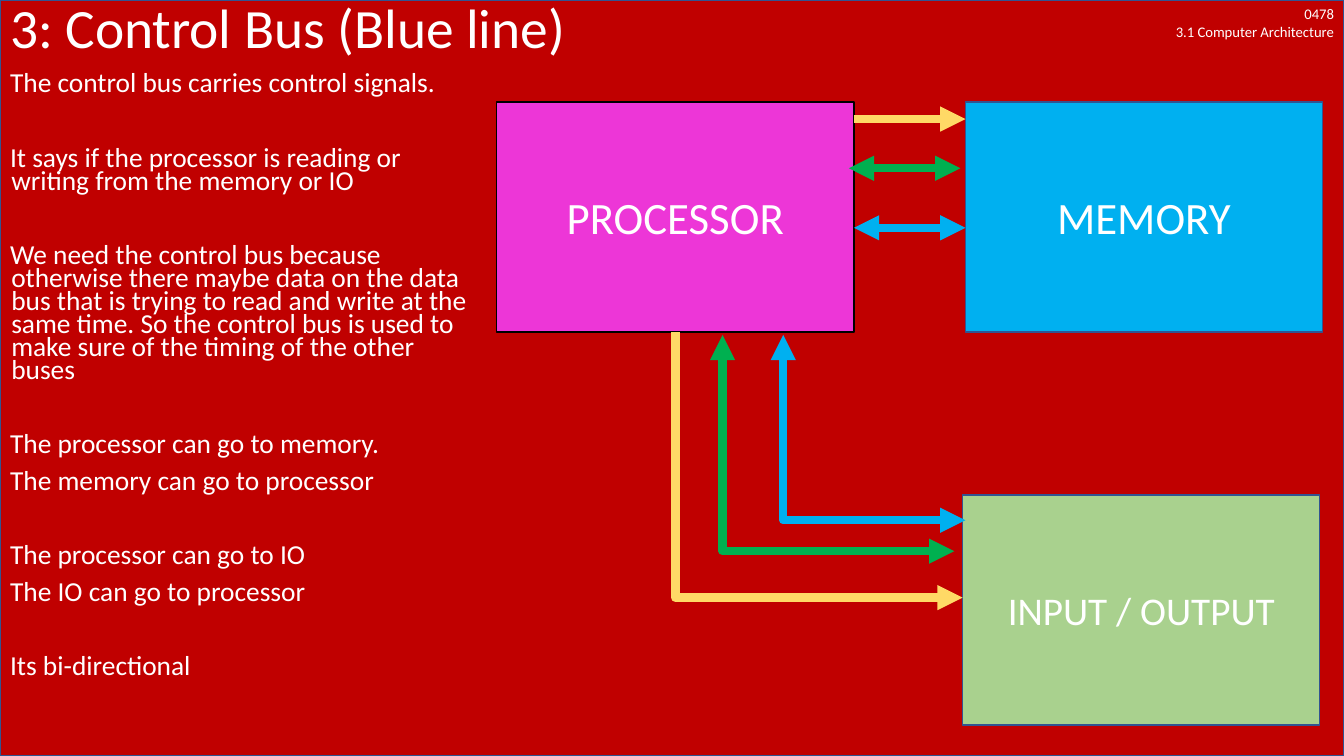
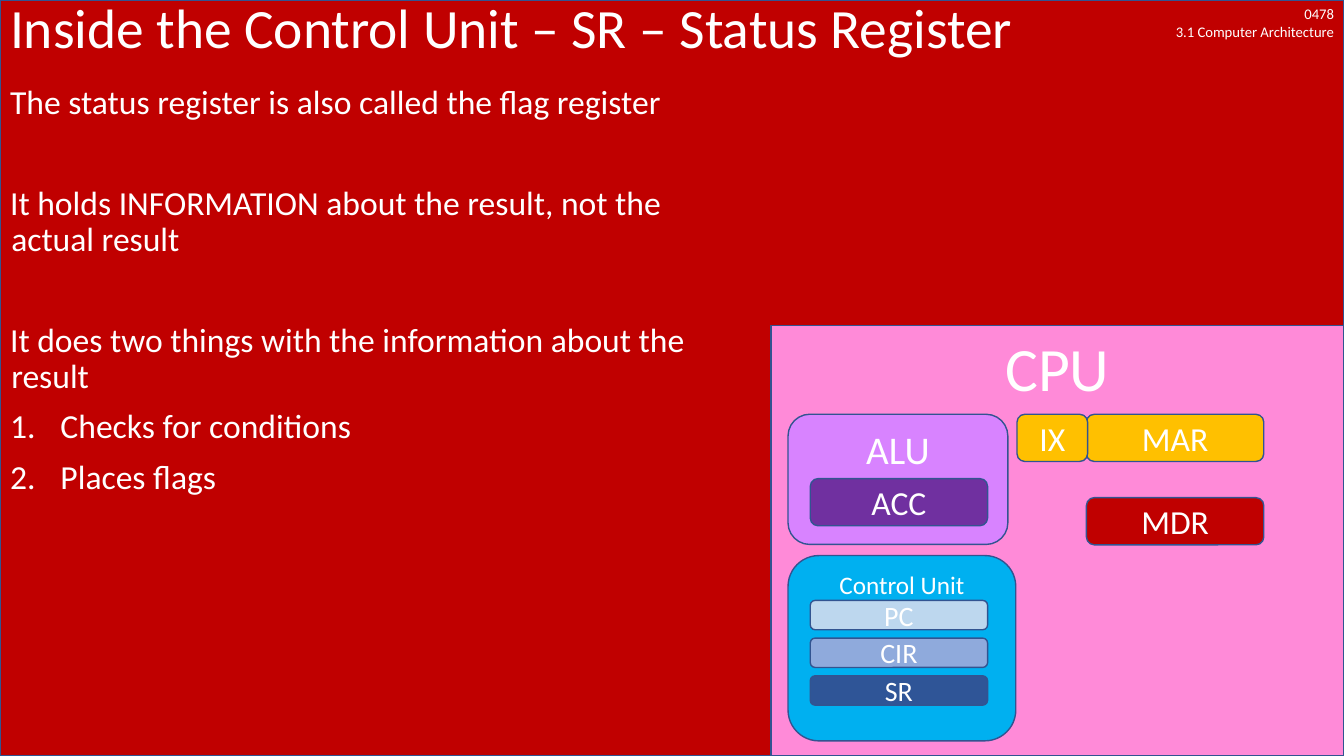
from pptx import Presentation
from pptx.dml.color import RGBColor
from pptx.enum import shapes, text
from pptx.oxml import ns, xmlchemy
from pptx.util import Cm, Pt

FONT = "Calibri"
WHITE = RGBColor(0xFF, 0xFF, 0xFF)
BLACK = RGBColor(0x00, 0x00, 0x00)
RED = RGBColor(0xC0, 0x00, 0x00)
OUTLINE = RGBColor(0x32, 0x54, 0x91)
MAGENTA = RGBColor(0xED, 0x36, 0xD7)
SKY = RGBColor(0x00, 0xB0, 0xF0)
LEAF = RGBColor(0xA9, 0xD1, 0x8E)
SAND = RGBColor(0xFF, 0xD9, 0x66)
GREEN = RGBColor(0x00, 0xB0, 0x50)
PINK = RGBColor(0xFF, 0x8A, 0xD8)
LILAC = RGBColor(0xD8, 0x83, 0xFF)
PURPLE = RGBColor(0x70, 0x30, 0xA0)
AMBER = RGBColor(0xFF, 0xC0, 0x00)
PALE_BLUE = RGBColor(0xBD, 0xD7, 0xEE)
MID_BLUE = RGBColor(0x8F, 0xAA, 0xDC)
DARK_BLUE = RGBColor(0x2F, 0x55, 0x97)

WIDTH, HEIGHT = 33.87, 19.05
RECT = shapes.MSO_SHAPE.RECTANGLE
ROUNDED = shapes.MSO_SHAPE.ROUNDED_RECTANGLE
TOP = text.MSO_ANCHOR.TOP
MIDDLE = text.MSO_ANCHOR.MIDDLE


def place(part, left, top, width, height):
    """Move and size a part, in centimetres."""
    part.left, part.top, part.width, part.height = map(Cm, (left, top, width, height))


def style(paragraph, size, align=text.PP_ALIGN.LEFT):
    """Give a paragraph the shared white type."""
    paragraph.alignment = align
    for run in paragraph.runs:
        run.font.name = FONT
        run.font.size = Pt(size)
        run.font.color.rgb = WHITE


def add_block(slide, box, fill, label="", size=24, kind=ROUNDED, anchor=MIDDLE, outline=OUTLINE):
    """Add a filled, outlined block with a centred label."""
    block = slide.shapes.add_shape(kind, *map(Cm, box))
    block.shadow.inherit = False
    block.fill.solid()
    block.fill.fore_color.rgb = fill
    block.line.color.rgb = outline
    block.line.width = Pt(1)
    block.text_frame.text = label
    block.text_frame.vertical_anchor = anchor
    style(block.text_frame.paragraphs[0], size, text.PP_ALIGN.CENTER)
    return block


def set_layout(slide):
    """Put the red backdrop and the course label on the layout of the slide."""
    backdrop = add_block(slide, (0, 0, WIDTH, HEIGHT), RED, kind=RECT)
    course = slide.shapes.add_textbox(Cm(28.54), Cm(0), Cm(5.33), Cm(1.14))
    course.text_frame.word_wrap = True
    course.text_frame.text = "0478\v3.1 Computer Architecture"
    style(course.text_frame.paragraphs[0], 10.5, text.PP_ALIGN.RIGHT)
    tree = slide.slide_layout.shapes.element
    for order, part in enumerate((backdrop, course)):
        part.element.nvSpPr.cNvPr.set("id", str(100 + order))
        tree.insert(2 + order, part.element)


def add_title(slide, heading):
    """Fill the title placeholder across the top."""
    title = slide.shapes.title
    place(title, 0, 0, WIDTH, 1.52)
    frame = title.text_frame
    frame.text = heading
    frame.auto_size = text.MSO_AUTO_SIZE.NONE
    frame.vertical_anchor = MIDDLE
    frame.margin_top = frame.margin_bottom = 0
    frame.paragraphs[0].line_spacing = 0.9
    style(frame.paragraphs[0], 39.6)


def add_body(slide, box, groups, size, spacing, group_gap, numbered=()):
    """Fill the body placeholder with groups of lines set apart by a gap."""
    body = slide.placeholders[1]
    place(body, *box)
    frame = body.text_frame
    lines = [(line, i == 0) for group in groups for i, line in enumerate(group)]
    frame.text = "\n".join(line for line, _ in lines)
    frame.auto_size = text.MSO_AUTO_SIZE.NONE
    frame.vertical_anchor = TOP
    for i, (paragraph, (line, opens)) in enumerate(zip(frame.paragraphs, lines)):
        paragraph.line_spacing = spacing
        paragraph.space_before = Pt(0 if i == 0 else group_gap if opens else 10)
        paragraph.space_after = Pt(0)
        properties = paragraph._p.get_or_add_pPr()
        indent = Cm(1.27 if line in numbered else 0.03)
        properties.set("marL", str(indent))
        properties.set("indent", str(-indent))
        if line in numbered:
            bullet = xmlchemy.OxmlElement("a:buAutoNum")
            bullet.set("type", "arabicPeriod")
        else:
            bullet = xmlchemy.OxmlElement("a:buNone")
        properties.append(bullet)
        style(paragraph, size)


def add_bus(slide, start, end, color, both_ways):
    """Draw a bus arrow: straight if level, otherwise down and then right."""
    (x1, y1), (x2, y2) = start, end
    across, down = x2 - x1, y2 - y1
    if down:
        left, top = (x1 + x2 - down) / 2, (y1 + y2 - across) / 2
        corners = left, top, left + down, top + across
    else:
        corners = x1, y1, x2, y2
    bus = slide.shapes.add_connector(shapes.MSO_CONNECTOR.STRAIGHT, *map(Cm, corners))
    properties = bus._element.spPr
    if down:
        properties.find(ns.qn("a:prstGeom")).set("prst", "bentConnector2")
        frame = properties.find(ns.qn("a:xfrm"))
        frame.set("rot", "16200000")
        frame.set("flipH", "1")
    bus.line.color.rgb = color
    bus.line.width = Pt(6)
    for tag in ("a:headEnd", "a:tailEnd") if both_ways else ("a:tailEnd",):
        arrowhead = xmlchemy.OxmlElement(tag)
        arrowhead.set("type", "triangle")
        bus.line._get_or_add_ln().append(arrowhead)
    properties.append(xmlchemy.OxmlElement("a:effectLst"))


def add_bus_diagram(slide, left, top):
    """Draw the processor, memory and I/O blocks with the buses between them."""
    for x, y, fill, label, size, outline in (
        (0, 0, MAGENTA, "PROCESSOR", 32, BLACK),
        (11.81, 0, SKY, "MEMORY", 32, OUTLINE),
        (11.74, 9.9, LEAF, "INPUT / OUTPUT", 28, OUTLINE),
    ):
        add_block(slide, (left + x, top + y, 9, 5.8), fill, label, size, RECT, outline=outline)
    for x1, y1, x2, y2, color, both_ways in (
        (9, 0.43, 11.81, 0.43, SAND, False),
        (4.5, 5.8, 11.74, 12.49, SAND, False),
        (8.87, 1.67, 11.68, 1.67, GREEN, True),
        (5.69, 5.87, 11.53, 11.32, GREEN, True),
        (9, 3.17, 11.81, 3.17, SKY, True),
        (7.22, 5.87, 11.81, 10.54, SKY, True),
    ):
        add_bus(slide, (left + x1, top + y1), (left + x2, top + y2), color, both_ways)


def add_cpu_diagram(slide, left, top):
    """Draw the CPU with its units and registers."""
    register_x, register_width, register_height = 0.99, 4.47, 1.19
    cpu = add_block(slide, (left, top, WIDTH - left, HEIGHT - top), PINK, "CPU", 44, anchor=TOP)
    cpu.adjustments[0] = 0
    for x, y, width, height, fill, label, size, anchor in (
        (0.43, 2.24, 5.54, 3.28, LILAC, "ALU", 28, TOP),
        (register_x, 3.86, register_width, register_height, PURPLE, "ACC", 24, MIDDLE),
        (7.95, 2.24, register_width, register_height, AMBER, "MAR", 24, MIDDLE),
        (7.95, 4.34, register_width, register_height, RED, "MDR", 24, MIDDLE),
        (6.2, 2.24, 1.78, register_height, AMBER, "IX", 24, MIDDLE),
        (0.43, 5.8, 5.74, 4.67, SKY, "Control Unit", 18, TOP),
    ):
        add_block(slide, (left + x, top + y, width, height), fill, label, size, anchor=anchor)
    for row, (label, fill) in enumerate((("PC", PALE_BLUE), ("CIR", MID_BLUE), ("SR", DARK_BLUE))):
        y = top + 6.93 + 0.95 * row
        add_block(slide, (left + register_x, y, register_width, 0.74), fill, label, 20)


def build_control_bus(slide):
    """Build the control bus slide."""
    add_title(slide, "3: Control Bus (Blue line)")
    groups = (
        ("The control bus carries control signals.",),
        ("It says if the processor is reading or writing from the memory or IO",),
        ("We need the control bus because otherwise there maybe data on the data bus that is "
         "trying to read and write at the same time. So the control bus is used to make sure "
         "of the timing of the other buses",),
        ("The processor can go to memory.", "The memory can go to processor"),
        ("The processor can go to IO", "The IO can go to processor"),
        ("Its bi-directional",),
    )
    add_body(slide, (0, 1.75, 12.45, 17.3), groups, 19.6, 0.7, 36.5)
    add_bus_diagram(slide, 12.52, 2.57)


def build_status_register(slide):
    """Build the status register slide."""
    add_title(slide, "Inside the Control Unit – SR – Status Register")
    steps = ("Checks for conditions", "Places flags")
    groups = (
        ("The status register is also called the flag register",),
        ("It holds INFORMATION about the result, not the actual result",),
        ("It does two things with the information about the result", *steps),
    )
    add_body(slide, (0, 2.03, 18.92, 17.02), groups, 24, 0.9, 46, steps)
    add_cpu_diagram(slide, 19.43, 8.2)


def main():
    """Build and save the presentation."""
    deck = Presentation()
    deck.slide_width, deck.slide_height = Cm(WIDTH), Cm(HEIGHT)
    layout = deck.slide_layouts[1]
    control_bus, status_register = (deck.slides.add_slide(layout) for _ in range(2))
    set_layout(control_bus)
    build_control_bus(control_bus)
    build_status_register(status_register)
    deck.save("out.pptx")


if __name__ == "__main__":
    main()
